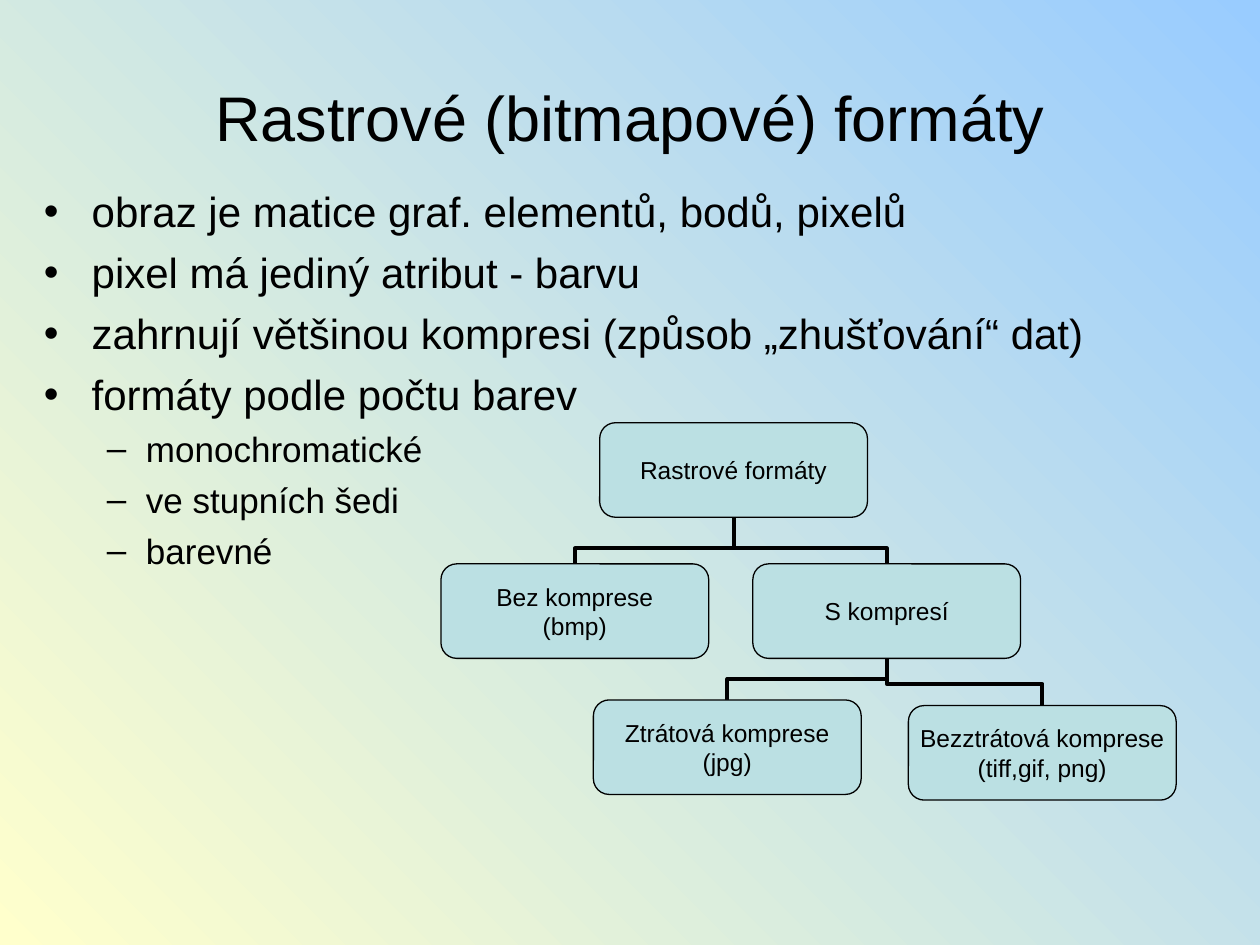
from dataclasses import dataclass

from lxml.etree import SubElement
from pptx import Presentation
from pptx.dml.color import RGBColor
from pptx.enum.shapes import MSO_CONNECTOR, MSO_SHAPE
from pptx.enum.text import MSO_ANCHOR, PP_ALIGN
from pptx.oxml.ns import qn
from pptx.util import Inches, Pt


@dataclass(frozen=True)
class Theme:
    font: str = "Arial"
    ink: RGBColor = RGBColor(0x00, 0x00, 0x00)
    box_fill: RGBColor = RGBColor(0xBB, 0xE0, 0xE3)
    sky: RGBColor = RGBColor(0x99, 0xCC, 0xFF)
    cream: RGBColor = RGBColor(0xFF, 0xFF, 0xCC)
    title_size: int = 36
    body_sizes: tuple = (24, 20)
    box_size: int = 14
    box_line: float = 0.75
    tree_line: float = 2.25


# Bullet sign, left margin, hanging indent (inches) and space before (points)
BULLET_LEVELS = (("•", 0.38, 0.38, 6), ("–", 0.81, 0.31, 5))


class SlideBuilder:
    """Places elements on a grid of 40 columns by 30 rows."""

    cell = Inches(0.25)
    box_columns, box_rows = 8.5, 3

    def __init__(self, slide, theme):
        self.slide = slide
        self.theme = theme

    def area(self, *cells):
        return [round(count * self.cell) for count in cells]

    def style_runs(self, paragraph, size):
        for run in paragraph.runs:
            run.font.name = self.theme.font
            run.font.size = Pt(size)
            run.font.color.rgb = self.theme.ink

    def background(self):
        fill = self.slide.background.fill
        fill.gradient()
        fill.gradient_angle = 225
        for stop, color in zip(fill.gradient_stops, (self.theme.sky, self.theme.cream)):
            stop.color.rgb = color

    def text_box(self, *cells):
        text_frame = self.slide.shapes.add_textbox(*self.area(*cells)).text_frame
        text_frame.word_wrap = True
        return text_frame

    def title(self, text, *cells):
        text_frame = self.text_box(*cells)
        text_frame.vertical_anchor = MSO_ANCHOR.MIDDLE
        text_frame.text = text
        paragraph = text_frame.paragraphs[0]
        paragraph.alignment = PP_ALIGN.CENTER
        self.style_runs(paragraph, self.theme.title_size)

    def bullets(self, items, *cells):
        text_frame = self.text_box(*cells)
        text_frame.text = "\n".join(text for _, text in items)
        for index, (paragraph, (level, _)) in enumerate(zip(text_frame.paragraphs, items)):
            sign, margin, hanging, space = BULLET_LEVELS[level]
            paragraph.level = level
            if index:
                paragraph.space_before = Pt(space)
            properties = paragraph._p.get_or_add_pPr()
            properties.set("marL", str(Inches(margin)))
            properties.set("indent", str(-Inches(hanging)))
            SubElement(properties, qn("a:buFont"), typeface=self.theme.font)
            SubElement(properties, qn("a:buChar"), char=sign)
            self.style_runs(paragraph, self.theme.body_sizes[level])

    def box(self, text, column, row):
        shape = self.slide.shapes.add_shape(
            MSO_SHAPE.ROUNDED_RECTANGLE,
            *self.area(column, row, self.box_columns, self.box_rows))
        shape.shadow.inherit = False
        shape.fill.solid()
        shape.fill.fore_color.rgb = self.theme.box_fill
        shape.line.color.rgb = self.theme.ink
        shape.line.width = Pt(self.theme.box_line)
        text_frame = shape.text_frame
        text_frame.margin_left = text_frame.margin_right = 0
        text_frame.margin_top = text_frame.margin_bottom = 0
        text_frame.word_wrap = False
        text_frame.vertical_anchor = MSO_ANCHOR.MIDDLE
        text_frame.text = text
        for paragraph in text_frame.paragraphs:
            paragraph.alignment = PP_ALIGN.CENTER
            self.style_runs(paragraph, self.theme.box_size)
        return shape

    def branch(self, parent, child, bend):
        """Elbow from the parent's bottom to the child's top, turning at a share of the drop."""
        connector = self.slide.shapes.add_connector(MSO_CONNECTOR.ELBOW, 0, 0, 0, 0)
        connector.begin_connect(parent, 2)
        connector.end_connect(child, 0)
        connector.line.color.rgb = self.theme.ink
        connector.line.width = Pt(self.theme.tree_line)

        # A quarter turn about the centre makes the elbow start downwards
        start_x, start_y = parent.left + parent.width // 2, parent.top + parent.height
        end_x, end_y = child.left + child.width // 2, child.top
        drop, reach = end_y - start_y, abs(end_x - start_x)
        connector.left = (start_x + end_x - drop) // 2
        connector.top = (start_y + end_y - reach) // 2
        connector.width, connector.height = drop, reach
        properties = connector._element.spPr
        transform = properties.find(qn("a:xfrm"))
        for flip in ("flipH", "flipV"):
            transform.attrib.pop(flip, None)
        to_right = end_x > start_x
        transform.set("rot", str((270 if to_right else 90) * 60000))
        if to_right:
            transform.set("flipH", "1")
        guides = properties.find(qn("a:prstGeom")).find(qn("a:avLst"))
        SubElement(guides, qn("a:gd"), name="adj1", fmla=f"val {round(bend * 100000)}")
        SubElement(properties, qn("a:effectLst"))

        # Keep branches behind the boxes
        self.slide.shapes._spTree.remove(connector._element)
        self.slide.shapes._spTree.insert_element_before(connector._element, "p:sp")
        self.slide.shapes._spTree.remove(connector._element)
        parent._element.addprevious(connector._element)


def main():
    presentation = Presentation()
    presentation.slide_width, presentation.slide_height = Inches(10), Inches(7.5)
    slide = presentation.slides.add_slide(presentation.slide_layouts[6])
    builder = SlideBuilder(slide, Theme())

    # Background, heading and bullet list
    builder.background()
    builder.title("Rastrové (bitmapové) formáty", 2, 1.2, 36, 5)
    builder.bullets([
        (0, "obraz je matice graf. elementů, bodů, pixelů"),
        (0, "pixel má jediný atribut - barvu"),
        (0, "zahrnují většinou kompresi (způsob „zhušťování“ dat)"),
        (0, "formáty podle počtu barev"),
        (1, "monochromatické"),
        (1, "ve stupních šedi"),
        (1, "barevné"),
    ], 1, 5.7, 37.3, 20.3)

    # Tree of raster formats
    root = builder.box("Rastrové formáty", 19.04, 13.42)
    uncompressed = builder.box("Bez komprese\n(bmp)", 14, 17.9)
    compressed = builder.box("S kompresí", 23.9, 17.9)
    lossy = builder.box("Ztrátová komprese\n(jpg)", 18.84, 22.22)
    lossless = builder.box("Bezztrátová komprese\n(tiff,gif, png)", 28.84, 22.4)
    for parent, child, bend in (
        (root, uncompressed, 0.67),
        (root, compressed, 0.67),
        (compressed, lossy, 0.5),
        (compressed, lossless, 0.54),
    ):
        builder.branch(parent, child, bend)

    presentation.save("out.pptx")


if __name__ == "__main__":
    main()
